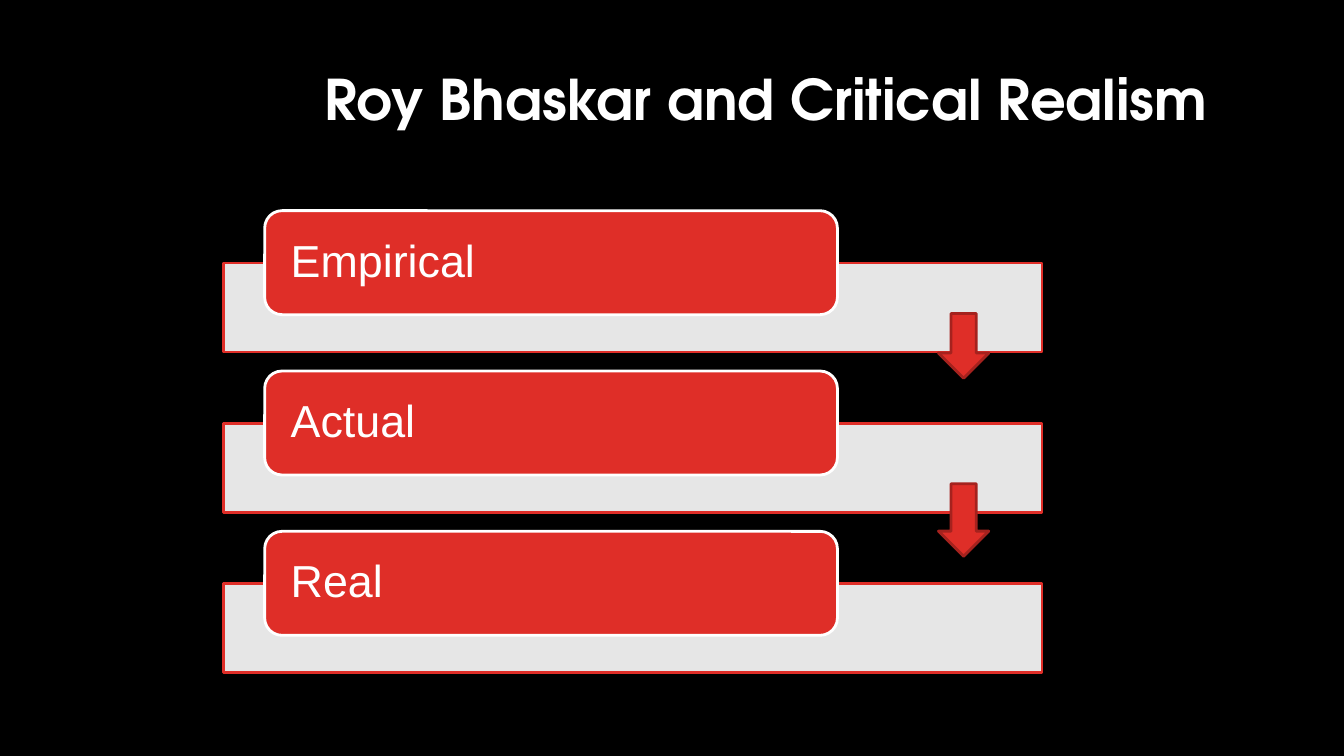
from pptx import Presentation
from pptx.dml.color import RGBColor
from pptx.enum.shapes import MSO_SHAPE
from pptx.enum.text import MSO_ANCHOR, PP_ALIGN
from pptx.oxml.ns import qn
from pptx.util import Cm, Pt
from lxml.etree import SubElement

BLACK = RGBColor(0x00, 0x00, 0x00)
WHITE = RGBColor(0xFF, 0xFF, 0xFF)
RED = RGBColor(0xDF, 0x2E, 0x28)
DARK_RED = RGBColor(0xA5, 0x22, 0x1E)

# Level name and the (offset, height) in cm of the arrow leading on from it
LEVELS = [("Empirical", (2.59, 1.63)), ("Actual", (2.84, 1.83)), ("Real", None)]
LEVEL_PITCH = 4.04


def add_box(s, kind, x, y, w, h, fill, line):
    sp = s.shapes.add_shape(kind, Cm(x), Cm(y), Cm(w), Cm(h))
    sp.shadow.inherit = False
    sp.fill.solid()
    sp.fill.fore_color.rgb = fill
    sp.line.color.rgb = line
    sp.line.width = Pt(2)
    return sp


def set_text(sp, text, align, inset_x, inset_y, font):
    tf = sp.text_frame
    frame = {"word_wrap": True, "vertical_anchor": MSO_ANCHOR.MIDDLE,
             "margin_left": Cm(inset_x), "margin_right": Cm(inset_x),
             "margin_top": Cm(inset_y), "margin_bottom": Cm(inset_y)}
    for name, value in frame.items():
        setattr(tf, name, value)
    p = tf.paragraphs[0]
    p.alignment = align
    p.line_spacing = 0.9
    r = p.add_run()
    r.text = text
    for name, value in font.items():
        setattr(r.font, name, value)
    r.font.color.rgb = WHITE


def add_title(s, x, y, w, h):
    sp = s.shapes.add_textbox(Cm(x), Cm(y), Cm(w), Cm(h))
    set_text(sp, "Roy Bhaskar and Critical Realism", PP_ALIGN.RIGHT, 0.25, 0.13,
             {"name": "TeX Gyre Adventor", "size": Pt(40), "bold": True})


def add_level(s, x, y, w, label):
    # Translucent band behind the label
    band = add_box(s, MSO_SHAPE.RECTANGLE, x, y + 1.32, w, 2.24, WHITE, RED)
    color = band.fill._xPr.find(qn("a:solidFill"))[0]
    SubElement(color, qn("a:alpha"), val="90000")
    # Label covering 70% of the band's width
    tab = add_box(s, MSO_SHAPE.ROUNDED_RECTANGLE, x + 0.05 * w, y, 0.7 * w, 2.62,
                  RED, WHITE)
    set_text(tab, label, PP_ALIGN.LEFT, 0.53, 0, {"name": "Arial", "size": Pt(32)})


def add_levels(s, x, y, w):
    tops = [y + i * LEVEL_PITCH for i in range(len(LEVELS))]
    for top, (label, _) in zip(tops, LEVELS):
        add_level(s, x, top, w, label)
    # Arrows lie over all the bands
    for top, (_, arrow) in zip(tops, LEVELS):
        if arrow:
            offset, height = arrow
            add_box(s, MSO_SHAPE.DOWN_ARROW, x + w - 2.61, top + offset, 1.27, height,
                    RED, DARK_RED)


def main():
    prs = Presentation()
    prs.slide_width, prs.slide_height = Cm(33.87), Cm(19.05)
    s = prs.slides.add_slide(prs.slide_layouts[6])
    s.background.fill.solid()
    s.background.fill.fore_color.rgb = BLACK
    add_title(s, 4.47, 0.41, 26.19, 4.32)
    add_levels(s, 5.64, 5.31, 20.62)
    prs.save("out.pptx")


if __name__ == "__main__":
    main()
